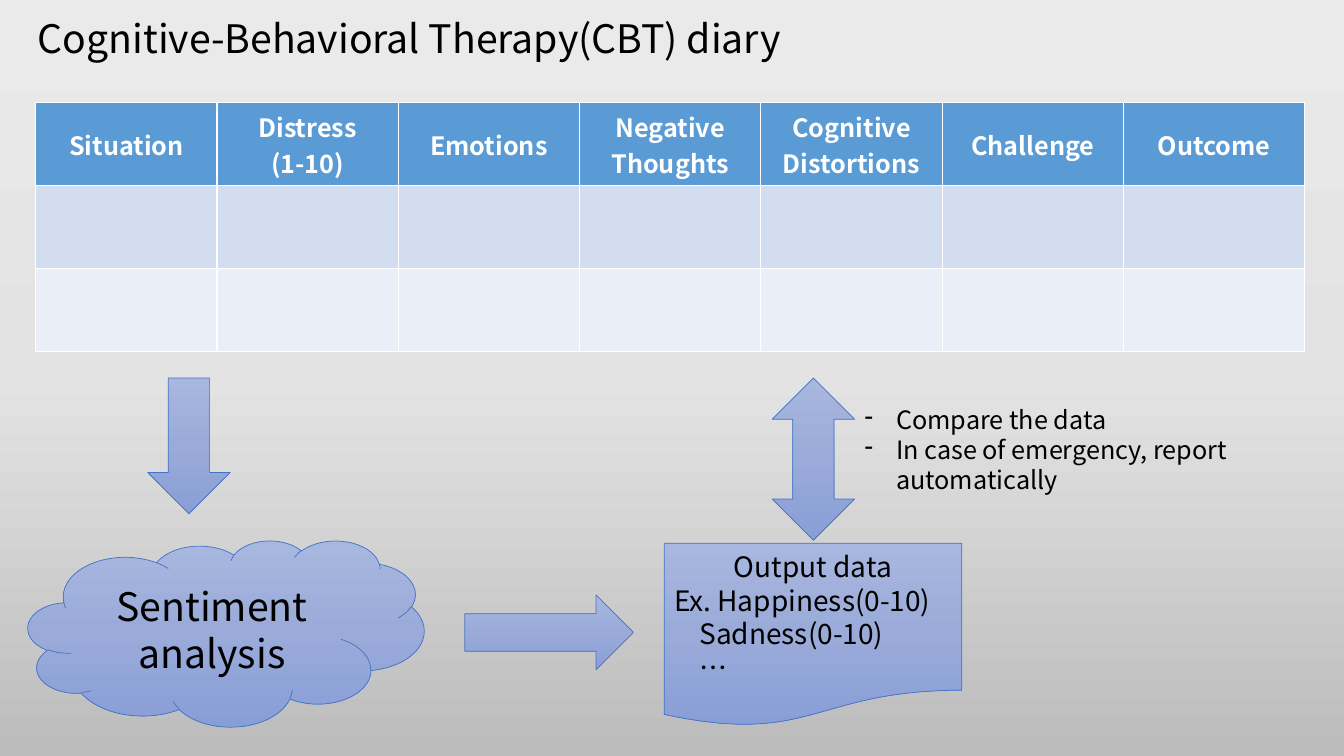
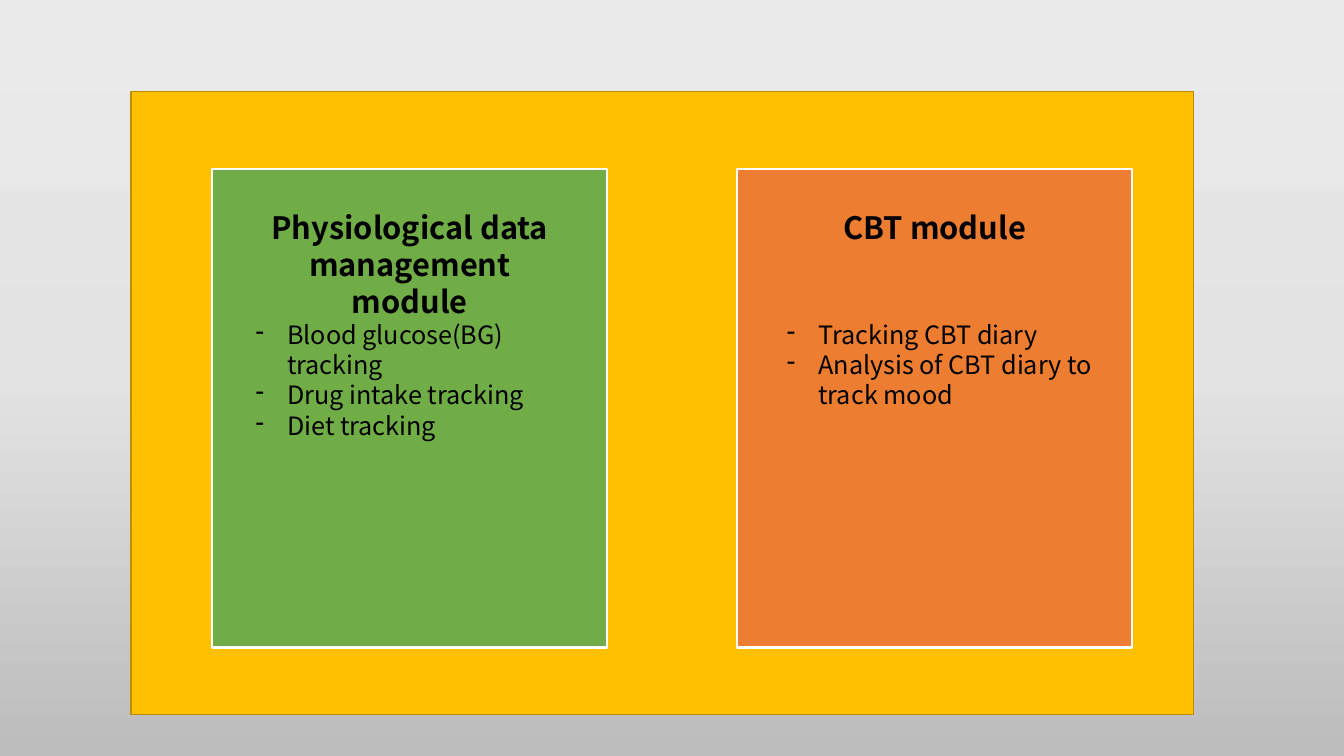
from lxml import etree
from pptx import Presentation
from pptx.dml.color import RGBColor
from pptx.enum.shapes import MSO_SHAPE
from pptx.enum.text import MSO_ANCHOR, PP_ALIGN
from pptx.oxml.ns import qn
from pptx.util import Pt

CENTER, LEFT = PP_ALIGN.CENTER, PP_ALIGN.LEFT
TOP, MIDDLE = MSO_ANCHOR.TOP, MSO_ANCHOR.MIDDLE
RECTANGLE = MSO_SHAPE.RECTANGLE
CLOUD = MSO_SHAPE.CLOUD
DOCUMENT = MSO_SHAPE.FLOWCHART_DOCUMENT
DOWN_ARROW = MSO_SHAPE.DOWN_ARROW
RIGHT_ARROW = MSO_SHAPE.RIGHT_ARROW
UP_DOWN_ARROW = MSO_SHAPE.UP_DOWN_ARROW

FONT = "Noto Sans CJK KR"
BLACK, WHITE = "000000", "FFFFFF"
BACKGROUND = ("EBEAEA", "E4E3E3", "BDBCBC")
FLOW_FILL = ("A8B7DF", "9AABD9", "889ED7")
FLOW_LINE = "4472C4"
HEADER_FILL = "5B9BD5"
ROW_FILLS = ("D2DEEF", "EAEFF7")
BULLET_INDENT = 22.5

DIARY_COLUMNS = ("Situation", "Distress\v(1-10)", "Emotions", "Negative Thoughts",
                 "Cognitive Distortions", "Challenge", "Outcome")


def color(value):
    return RGBColor.from_string(value)


def box(left, top, width, height):
    return Pt(left), Pt(top), Pt(width), Pt(height)


def fill_gradient(fill, owner, colors):
    """Fill from top to bottom with evenly spaced colours."""
    fill.gradient()
    fill.gradient_angle = 270
    stops = owner.xpath(".//a:gsLst")[0]
    stops.clear()
    for i, value in enumerate(colors):
        position = str(100000 * i // (len(colors) - 1))
        stop = etree.SubElement(stops, qn("a:gs"), pos=position)
        etree.SubElement(stop, qn("a:srgbClr"), val=value)


def write(frame, lines, size, align=LEFT, anchor=TOP, ink=BLACK, bold=False):
    frame.word_wrap = True
    frame.vertical_anchor = anchor
    frame.text = "\n".join(lines)
    for paragraph in frame.paragraphs:
        paragraph.alignment = align
        for run in paragraph.runs:
            run.font.name = FONT
            run.font.size = Pt(size)
            run.font.bold = bold
            run.font.color.rgb = color(ink)
            etree.SubElement(run.font._element, qn("a:ea"), typeface=FONT)


def indent(paragraph, left, first=0):
    properties = paragraph._p.get_or_add_pPr()
    properties.set("marL", str(Pt(left)))
    properties.set("indent", str(Pt(first)))
    return properties


def add_text(slide, place, lines, size, **style):
    frame = slide.shapes.add_textbox(*box(*place)).text_frame
    write(frame, lines, size, **style)
    return frame


def add_bullets(slide, place, lines):
    for paragraph in add_text(slide, place, lines, 18).paragraphs:
        properties = indent(paragraph, BULLET_INDENT, -BULLET_INDENT)
        etree.SubElement(properties, qn("a:buChar"), char="-")


def add_outlined(slide, kind, place, line, weight):
    shape = slide.shapes.add_shape(kind, *box(*place))
    shape.shadow.inherit = False
    shape.line.color.rgb = color(line)
    shape.line.width = Pt(weight)
    return shape


def add_panel(slide, place, fill, line, weight):
    panel = add_outlined(slide, RECTANGLE, place, line, weight)
    panel.fill.solid()
    panel.fill.fore_color.rgb = color(fill)


def add_flow_shape(slide, kind, place):
    shape = add_outlined(slide, kind, place, FLOW_LINE, 0.5)
    fill_gradient(shape.fill, shape.element, FLOW_FILL)
    return shape


def add_diary_table(slide, place):
    row_fills = (HEADER_FILL, *ROW_FILLS)
    table = slide.shapes.add_table(len(row_fills), len(DIARY_COLUMNS), *box(*place)).table
    for r, fill in enumerate(row_fills):
        for cell in table.rows[r].cells:
            cell.fill.solid()
            cell.fill.fore_color.rgb = color(fill)
    for cell, heading in zip(table.rows[0].cells, DIARY_COLUMNS):
        write(cell.text_frame, [heading], 18, align=CENTER, ink=WHITE, bold=True)
        cell.vertical_anchor = MIDDLE


def add_module(slide, left, fill, heading, features, features_left):
    add_panel(slide, (left, 121, 282, 341.5), fill, WHITE, 1.5)
    add_text(slide, (left + 20, 145.5, 242.5, 87), [heading], 22, align=CENTER, bold=True)
    add_bullets(slide, (features_left, 224.5, 233.5, 138), features)


def build_diary(slide):
    add_text(slide, (20, 6.5, 912, 41), ["Cognitive-Behavioral Therapy(CBT) diary"], 28)
    add_diary_table(slide, (25.5, 73.5, 906.5, 177.5))

    # Diary to sentiment analysis to output data, and back
    add_flow_shape(slide, DOWN_ARROW, (105.5, 270, 59, 97))
    analysis = add_flow_shape(slide, CLOUD, (20, 386, 283, 133))
    write(analysis.text_frame, ["Sentiment analysis"], 28, align=CENTER, anchor=MIDDLE)
    add_flow_shape(slide, RIGHT_ARROW, (332, 425, 120.5, 53.5))
    output = add_flow_shape(slide, DOCUMENT, (474.5, 388, 212.5, 131))
    write(output.text_frame,
          ["Output data", "Ex. Happiness(0-10)", "Sadness(0-10)", "…"], 20, anchor=MIDDLE)
    title, _, *further_scores = output.text_frame.paragraphs
    title.alignment = CENTER
    for score in further_scores:
        indent(score, 18)
    add_flow_shape(slide, UP_DOWN_ARROW, (551.5, 270, 59, 116))
    add_bullets(slide, (610.5, 285, 322, 73),
                ["Compare the data", "In case of emergency, report automatically"])


def build_modules(slide):
    add_panel(slide, (93.5, 65.5, 759, 445), "FFC000", "BD8E00", 1)
    add_module(slide, 151.5, "70AD47", "Physiological data management module",
               ["Blood glucose(BG) tracking", "Drug intake tracking", "Diet tracking"], 175.5)
    add_module(slide, 526.5, "ED7D31", "CBT module",
               ["Tracking CBT diary", "Analysis of CBT diary to track mood"], 555)


def main():
    deck = Presentation()
    deck.slide_width, deck.slide_height = Pt(960), Pt(540)

    # Shared background
    master = deck.slide_master
    fill_gradient(master.background.fill, master.element.cSld, BACKGROUND)

    for build in (build_diary, build_modules):
        build(deck.slides.add_slide(deck.slide_layouts[6]))
    deck.save("out.pptx")


if __name__ == "__main__":
    main()
